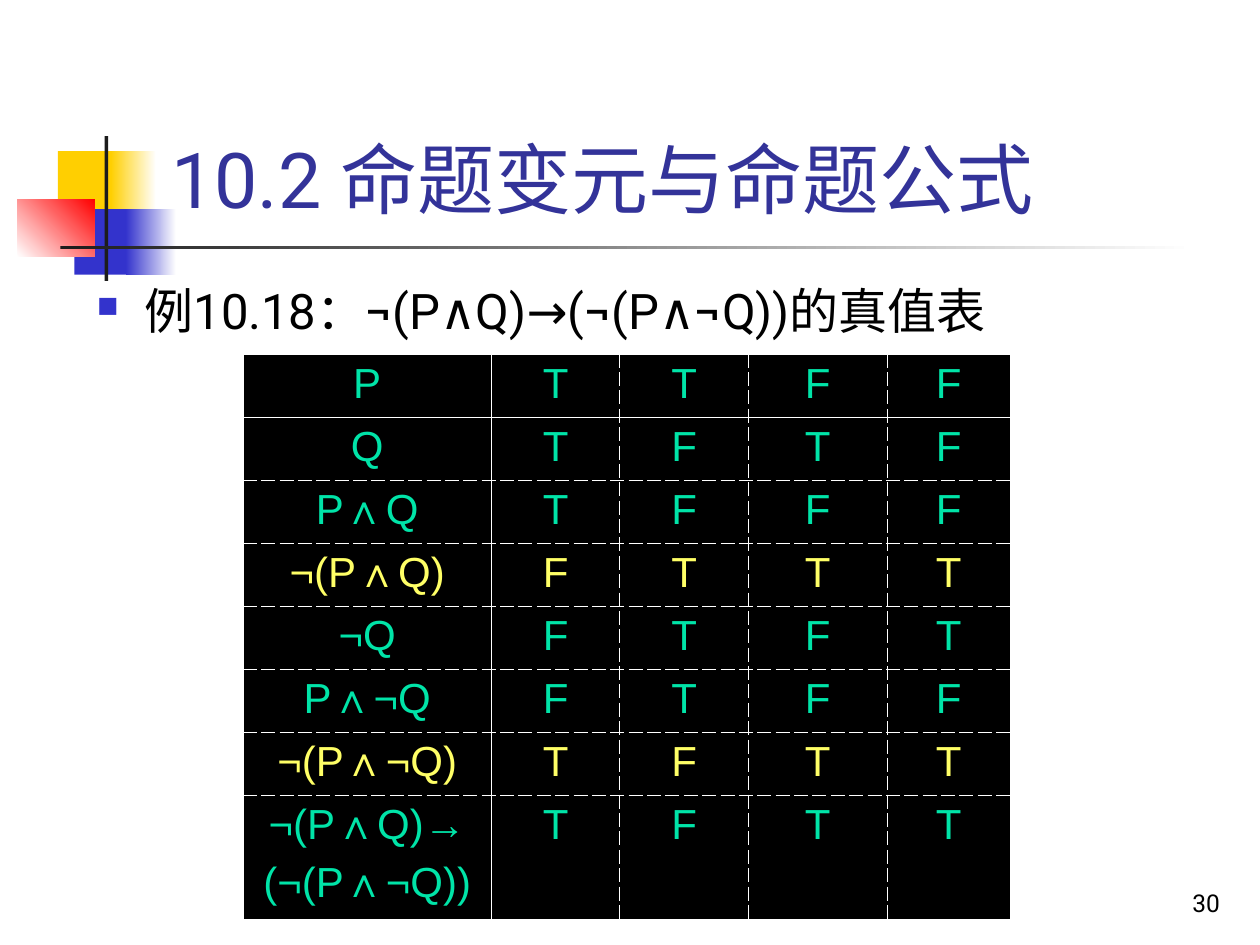
"""Build the truth table slide for propositional formulas."""
from lxml import etree
from pptx import Presentation
from pptx.dml.color import RGBColor
from pptx.enum.shapes import MSO_SHAPE
from pptx.enum.text import MSO_ANCHOR, MSO_AUTO_SIZE, PP_ALIGN
from pptx.oxml.ns import qn
from pptx.util import Inches, Pt

RECT = MSO_SHAPE.RECTANGLE
BOTTOM = MSO_ANCHOR.BOTTOM
NO_FIT = MSO_AUTO_SIZE.NONE
LEFT, CENTER, RIGHT = PP_ALIGN.LEFT, PP_ALIGN.CENTER, PP_ALIGN.RIGHT

THEME = {
    "font": "Roboto", "table_font": "Arial",
    "title_size": 44, "body_size": 28, "table_size": 24, "number_size": 14,
    "title": "333399", "text": "000000", "white": "FFFFFF",
    "yellow": "FFCF01", "blue": "3333CC", "red": "FF0000", "dark": "1C1C1C",
    "cell": "000000", "green": "00E4A8", "highlight": "FFFF66",
}


def style(p, font, size, color, align=LEFT):
    p.alignment = align
    p.font.name = THEME[font]
    p.font.size = Pt(THEME[size])
    p.font.color.rgb = RGBColor.from_string(THEME[color])


def add_border(cell, side, solid):
    tc_pr = cell._tc.get_or_add_tcPr()
    ln = etree.SubElement(tc_pr, qn(f"a:ln{side}"), w=str(Pt(0.45)))
    fill = etree.SubElement(ln, qn("a:solidFill"))
    etree.SubElement(fill, qn("a:srgbClr"), val=THEME["white"])
    etree.SubElement(ln, qn("a:prstDash"), val="solid" if solid else "dash")


prs = Presentation()
prs.slide_width, prs.slide_height = Inches(10), Inches(7.5)
s = prs.slides.add_slide(prs.slide_layouts[5])

decorations = [
    (0.46, 1.2, 0.48, 0.52, ["yellow"], 0),
    (0.88, 1.2, 0.36, 0.52, ["yellow", "white"], 0),
    (0.59, 1.66, 0.46, 0.52, ["blue"], 0),
    (1, 1.66, 0.4, 0.52, ["blue", "white"], 0),
    (0.14, 1.58, 0.61, 0.46, ["white", "red"], 45),
    (0.83, 1.08, 0.03, 1.15, ["dark"], 0),
    (0.48, 1.95, 9, 0.03, ["dark", "white"], 0),
]
for x, y, w, h, colors, angle in decorations:
    sp = s.shapes.add_shape(RECT, Inches(x), Inches(y), Inches(w), Inches(h))
    sp.shadow.inherit = False
    sp.line.fill.background()
    if len(colors) == 1:
        sp.fill.solid()
        sp.fill.fore_color.rgb = RGBColor.from_string(THEME[colors[0]])
    else:
        sp.fill.gradient()
        sp.fill.gradient_angle = angle
        for stop, color in zip(sp.fill.gradient_stops, colors):
            stop.color.rgb = RGBColor.from_string(THEME[color])

title = s.shapes.title
title.left, title.top = Inches(1.26), Inches(0.23)
title.width, title.height = Inches(8.52), Inches(1.6)
tf = title.text_frame
tf.text = "10.2 命题变元与命题公式"
tf.auto_size = NO_FIT
tf.vertical_anchor = BOTTOM
style(tf.paragraphs[0], "font", "title_size", "title")

body = s.shapes.add_textbox(Inches(0.67), Inches(2.18), Inches(8.5), Inches(4.5))
tf = body.text_frame
tf.word_wrap = True
p = tf.paragraphs[0]
p.text = "例10.18：¬(P∧Q)→(¬(P∧¬Q))的真值表"
p_pr = p._p.get_or_add_pPr()
p_pr.set("marL", str(Inches(0.38)))
p_pr.set("indent", str(-Inches(0.38)))
bullet_color = etree.SubElement(p_pr, qn("a:buClr"))
etree.SubElement(bullet_color, qn("a:srgbClr"), val=THEME["blue"])
etree.SubElement(p_pr, qn("a:buSzPct"), val="60000")
etree.SubElement(p_pr, qn("a:buChar"), char="■")
style(p, "font", "body_size", "text")

truth_rows = [
    ("P", "TTFF", "green"),
    ("Q", "TFTF", "green"),
    ("P∧Q", "TFFF", "green"),
    ("¬(P∧Q)", "FTTT", "highlight"),
    ("¬Q", "FTFT", "green"),
    ("P∧¬Q", "FTFF", "green"),
    ("¬(P∧¬Q)", "TFTT", "highlight"),
    ("¬(P∧Q)→\n(¬(P∧¬Q))", "TFTT", "green"),
]
col_widths = [1.97, 1.02, 1.02, 1.1, 0.98]
row_heights = [0.5] * 7 + [0.98]
n_rows, n_cols = len(row_heights), len(col_widths)
table = s.shapes.add_table(n_rows, n_cols, Inches(1.93), Inches(2.81),
                           Inches(sum(col_widths)), Inches(sum(row_heights))).table
table.first_row = table.horz_banding = False
for col, width in zip(table.columns, col_widths):
    col.width = Inches(width)
for row, height in zip(table.rows, row_heights):
    row.height = Inches(height)

solid_cols, solid_rows = (0, 1, n_cols), (0, 1, n_rows)
for i, (formula, values, color) in enumerate(truth_rows):
    for j, text in enumerate([formula, *values]):
        cell = table.cell(i, j)
        cell.text = text
        for k, p in enumerate(cell.text_frame.paragraphs):
            style(p, "table_font", "table_size", color, CENTER)
            if k:
                p.space_before = Pt(6)
        add_border(cell, "L", j in solid_cols)
        add_border(cell, "R", j + 1 in solid_cols)
        add_border(cell, "T", i in solid_rows)
        add_border(cell, "B", i + 1 in solid_rows)
        cell.fill.solid()
        cell.fill.fore_color.rgb = RGBColor.from_string(THEME["cell"])

number = s.shapes.add_textbox(Inches(7.7), Inches(6.83), Inches(2.08), Inches(0.5))
tf = number.text_frame
tf.text = "30"
tf.word_wrap = True
tf.vertical_anchor = BOTTOM
style(tf.paragraphs[0], "font", "number_size", "text", RIGHT)

prs.save("out.pptx")
